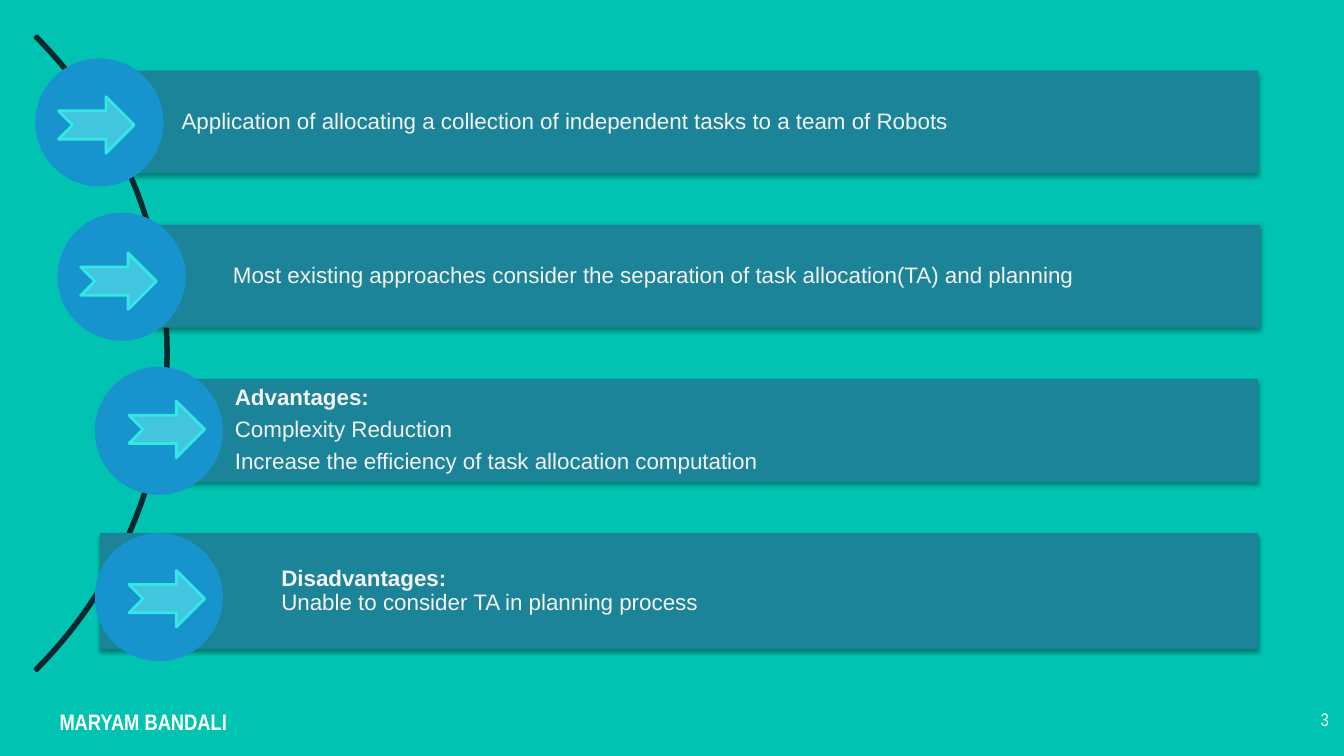
import dataclasses
import typing

import lxml.etree
import pptx
import pptx.dml.color
import pptx.enum.shapes
import pptx.enum.text
import pptx.oxml.ns
import pptx.util

Kind = pptx.enum.shapes.MSO_SHAPE
Align = pptx.enum.text.PP_ALIGN
Anchor = pptx.enum.text.MSO_ANCHOR
WIDE = pptx.util.Inches(13.33)
HIGH = pptx.util.Inches(7.5)


@dataclasses.dataclass(frozen=True)
class Theme:
    back: str = "00C3B1"
    arc: str = "062930"
    bar: str = "1B8499"
    disc: str = "1794CE"
    arrow: str = "42C6DF"
    edge: str = "34E7E4"
    text: str = "F3F3F3"
    white: str = "FFFFFF"
    shade: str = "000000"
    body: str = "Arial"
    thin: str = "Arial Narrow"
    size: int = 16
    small: int = 13
    stroke: int = 2


@dataclasses.dataclass(frozen=True)
class Box:
    left: float
    top: float
    width: float
    height: float

    def place(self) -> tuple[int, int, int, int]:
        return (across(self.left), down(self.top),
                across(self.width), down(self.height))


@dataclasses.dataclass(frozen=True)
class Line:
    text: str
    bold: bool = False


@dataclasses.dataclass(frozen=True)
class Point:
    lines: tuple[Line, ...]
    bar: float
    disc: float
    arrow: tuple[float, float]
    inset: float
    right: float = 93.62
    height: float = 13.6
    lift: float = 1.6
    gap: float = 0
    align: Align = Align.LEFT


THEME = Theme()
FIRST, PITCH = 9.33, 20.4
ARC = Box(-54.31, -12.67, 66.84, 118.8)
POINTS = (
    Point((Line("Application of allocating a collection of independent tasks to a team of Robots"),),
          bar=7.43, disc=2.63, arrow=(1.73, 5.07), inset=6.08),
    Point((Line("Most existing approaches consider the separation of task allocation(TA) and planning"),),
          bar=11.63, disc=4.28, arrow=(1.73, 5.33), inset=5.7, right=93.77, align=Align.JUSTIFY),
    Point((Line("Advantages:", True), Line("Complexity Reduction"),
           Line("Increase the efficiency of task allocation computation")),
          bar=11.78, disc=7.05, arrow=(2.55, 4.53), inset=5.7, gap=5.6),
    Point((Line("Disadvantages:", True), Line("Unable to consider TA in planning process")),
          bar=7.43, disc=7.05, arrow=(2.55, 4.93), inset=13.5, height=15.33, lift=0),
)


def across(share: float) -> int:
    return round(WIDE * share / 100)


def down(share: float) -> int:
    return round(HIGH * share / 100)


def tint(code: str) -> pptx.dml.color.RGBColor:
    return pptx.dml.color.RGBColor.from_string(code)


def draw(slide: typing.Any, kind: Kind, box: Box,
         fill: str | None = None, edge: str | None = None) -> typing.Any:
    shape = slide.shapes.add_shape(kind, *box.place())
    shape.shadow.inherit = False
    if fill:
        shape.fill.solid()
        shape.fill.fore_color.rgb = tint(fill)
    else:
        shape.fill.background()
    if edge:
        shape.line.color.rgb = tint(edge)
        shape.line.width = pptx.util.Pt(THEME.stroke)
    else:
        shape.line.fill.background()
    return shape


def shade(shape: typing.Any) -> None:
    name = pptx.oxml.ns.qn
    effect = shape._element.spPr.find(name("a:effectLst"))
    outer = lxml.etree.SubElement(
        effect, name("a:outerShdw"), blurRad=str(pptx.util.Pt(3.1)),
        dist=str(pptx.util.Pt(1.8)), dir="5400000", rotWithShape="0")
    color = lxml.etree.SubElement(outer, name("a:srgbClr"), val=THEME.shade)
    lxml.etree.SubElement(color, name("a:alpha"), val="35000")


def inset(frame: typing.Any, left: float, rest: float) -> None:
    frame.word_wrap = True
    frame.margin_left = across(left)
    frame.margin_top = frame.margin_right = frame.margin_bottom = pptx.util.Inches(rest)


def write(para: typing.Any, line: Line, face: str, size: int, color: str) -> None:
    run = para.add_run()
    run.text = line.text
    run.font.name = face
    run.font.size = pptx.util.Pt(size)
    run.font.bold = line.bold
    run.font.color.rgb = tint(color)


def fill_bar(frame: typing.Any, point: Point) -> None:
    inset(frame, point.inset, 0.05)
    frame.vertical_anchor = Anchor.MIDDLE
    for rank, line in enumerate(point.lines):
        para = frame.add_paragraph() if rank else frame.paragraphs[0]
        para.alignment = point.align
        para.line_spacing = 0.9
        if rank:
            para.space_before = pptx.util.Pt(point.gap)
        write(para, line, THEME.body, THEME.size, THEME.text)


def add_point(slide: typing.Any, row: int, point: Point) -> None:
    top = FIRST + row * PITCH
    head = top - point.lift
    bar = draw(slide, Kind.RECTANGLE,
               Box(point.bar, top, point.right - point.bar, point.height), THEME.bar)
    shade(bar)
    fill_bar(bar.text_frame, point)
    draw(slide, Kind.OVAL, Box(point.disc, head, 9.53, 16.93), THEME.disc)
    right, low = point.arrow
    draw(slide, Kind.NOTCHED_RIGHT_ARROW,
         Box(point.disc + right, head + low, 5.63, 7.47), THEME.arrow, THEME.edge)


def add_note(slide: typing.Any, box: Box, line: Line, size: int,
             color: str, align: Align) -> None:
    frame = slide.shapes.add_textbox(*box.place()).text_frame
    inset(frame, 0.75, 0.1)
    para = frame.paragraphs[0]
    para.alignment = align
    write(para, line, THEME.thin, size, color)


def main() -> None:
    deck = pptx.Presentation()
    deck.slide_width, deck.slide_height = WIDE, HIGH
    slide = deck.slides.add_slide(deck.slide_layouts[6])
    slide.background.fill.solid()
    slide.background.fill.fore_color.rgb = tint(THEME.back)
    arc = draw(slide, Kind.BLOCK_ARC, ARC, edge=THEME.arc)
    for rank, value in enumerate((189, 27, 0.003)):
        arc.adjustments[rank] = value
    for row, point in enumerate(POINTS):
        add_point(slide, row, point)
    add_note(slide, Box(93.62, 92.4, 6, 7.6), Line("3"),
             THEME.small, THEME.text, Align.RIGHT)
    add_note(slide, Box(0, 92.4, 21.31, 6.8), Line("MARYAM BANDALI", True),
             THEME.size, THEME.white, Align.CENTER)
    deck.save("out.pptx")


if __name__ == "__main__":
    main()
